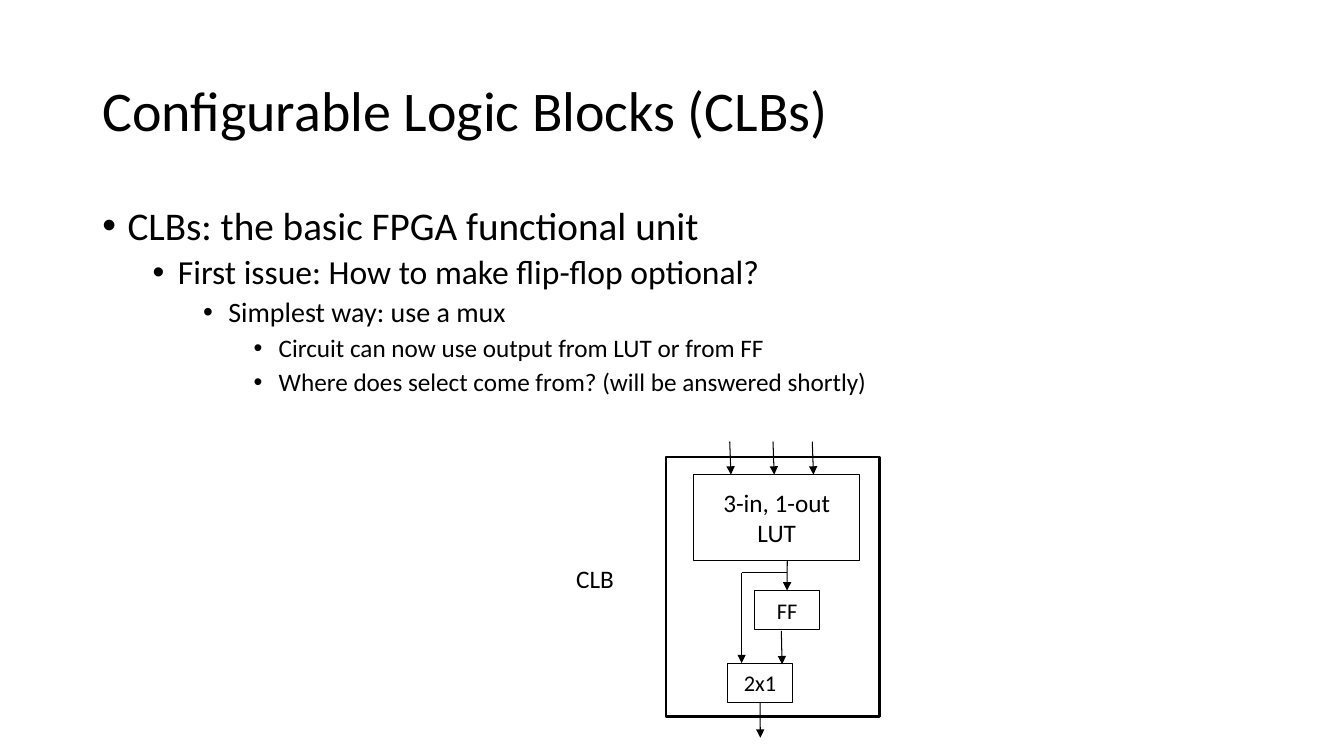
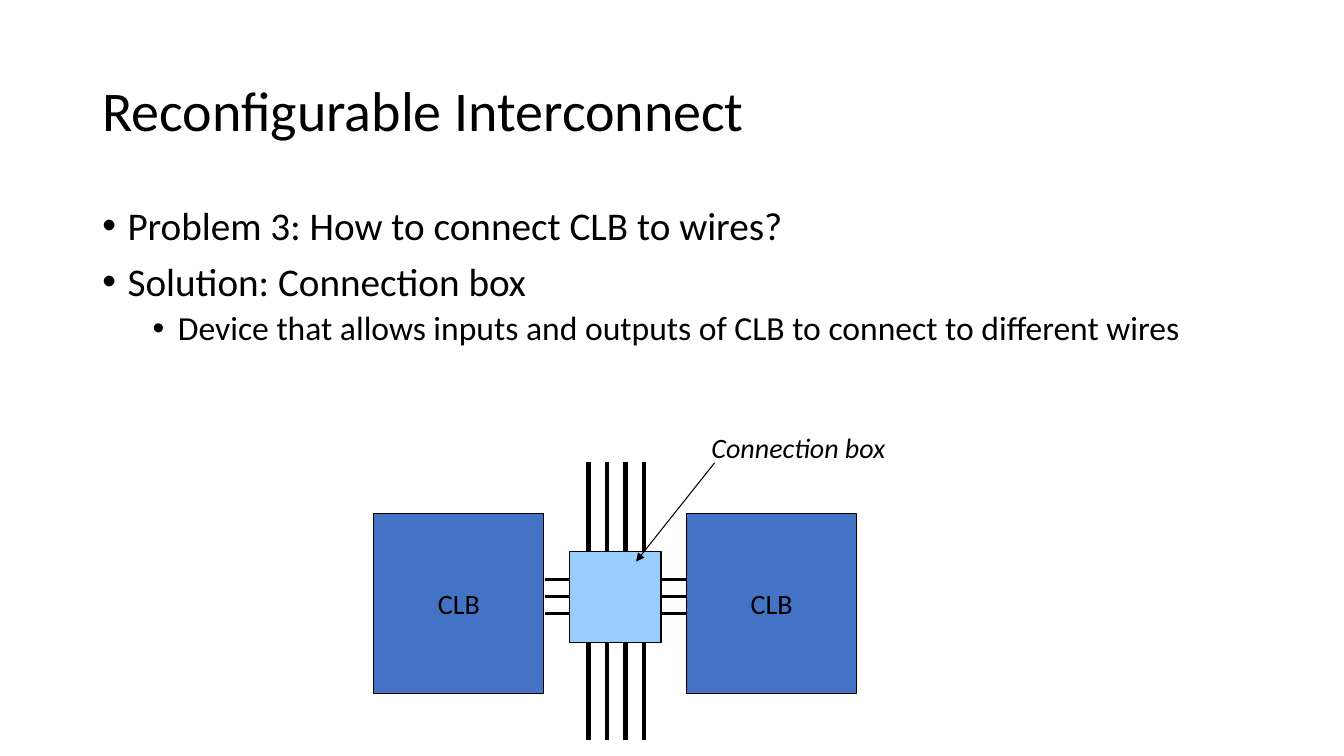
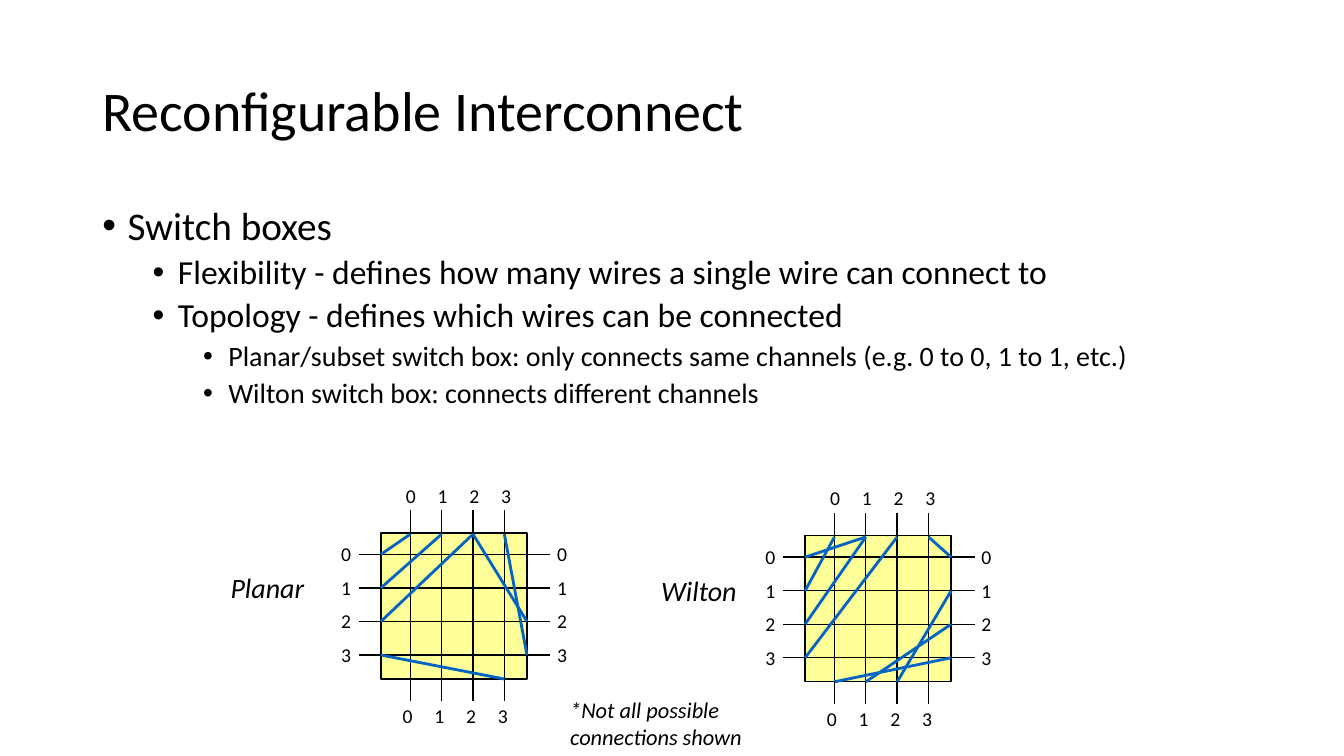
from lxml.etree import SubElement
from pptx import Presentation
from pptx.dml.color import RGBColor
from pptx.enum.shapes import MSO_CONNECTOR, MSO_SHAPE
from pptx.enum.text import MSO_ANCHOR, PP_ALIGN
from pptx.oxml.ns import qn
from pptx.util import Cm, Pt

FONT = "Calibri"
BLACK = "000000"
WHITE = "FFFFFF"
BLOCK_BLUE = "4472C4"
BOX_BLUE = "99CCFF"
SWITCH_YELLOW = "FFFF99"
LINK_BLUE = "0563C1"

LEVEL_SIZES = [28, 24, 20, 18]
CHANNELS = range(4)
SWITCH_SIZE = 3.68


def color(hex_value):
    return RGBColor.from_string(hex_value)


def format_runs(paragraph, size, italic=False):
    for run in paragraph.runs:
        run.font.name = FONT
        run.font.size = Pt(size)
        run.font.italic = italic
        run.font.color.rgb = color(BLACK)


def add_text(slide, text, left, top, width, height, size, italic=False):
    shape = slide.shapes.add_textbox(Cm(left), Cm(top), Cm(width), Cm(height))
    shape.text_frame.word_wrap = True
    shape.text_frame.text = text
    format_runs(shape.text_frame.paragraphs[0], size, italic)
    return shape


def add_box(slide, left, top, width, height, fill=None, text="", size=18, line_width=0.75):
    shape = slide.shapes.add_shape(
        MSO_SHAPE.RECTANGLE, Cm(left), Cm(top), Cm(width), Cm(height))
    shape.shadow.inherit = False
    if fill:
        shape.fill.solid()
        shape.fill.fore_color.rgb = color(fill)
    else:
        shape.fill.background()
    shape.line.color.rgb = color(BLACK)
    shape.line.width = Pt(line_width)
    if text:
        text_frame = shape.text_frame
        text_frame.word_wrap = False
        text_frame.vertical_anchor = MSO_ANCHOR.MIDDLE
        text_frame.text = text
        for paragraph in text_frame.paragraphs:
            paragraph.alignment = PP_ALIGN.CENTER
            format_runs(paragraph, size)
    return shape


def add_line(slide, start, end, width=0.75, line_color=BLACK, arrow=False):
    connector = slide.shapes.add_connector(
        MSO_CONNECTOR.STRAIGHT, Cm(start[0]), Cm(start[1]), Cm(end[0]), Cm(end[1]))
    connector.line.color.rgb = color(line_color)
    connector.line.width = Pt(width)
    if arrow:
        SubElement(connector.line._get_or_add_ln(), qn("a:tailEnd"), type="triangle")
    SubElement(connector._element.spPr, qn("a:effectLst"))
    return connector


def add_bullet(paragraph, level):
    properties = paragraph._p.get_or_add_pPr()
    properties.set("marL", str(Cm(0.635 + 1.27 * level)))
    properties.set("indent", str(Cm(-0.635)))
    SubElement(properties, qn("a:buFont"), typeface="Arial")
    SubElement(properties, qn("a:buChar"), char="•")


def add_content_slide(presentation, title, bullets):
    slide = presentation.slides.add_slide(presentation.slide_layouts[6])
    title_box = add_text(slide, title, 2.33, 1.01, 29.21, 3.68, 40)
    title_box.text_frame.vertical_anchor = MSO_ANCHOR.MIDDLE
    title_box.text_frame.paragraphs[0].line_spacing = 0.9

    body = add_text(slide, "\n".join(text for _, text in bullets),
                    2.33, 5.07, 29.21, 12.09, LEVEL_SIZES[0])
    for index, paragraph in enumerate(body.text_frame.paragraphs):
        level = bullets[index][0]
        add_bullet(paragraph, level)
        paragraph.level = level
        paragraph.line_spacing = 0.9
        if index:
            paragraph.space_before = Pt(5 if level else 10)
        format_runs(paragraph, LEVEL_SIZES[level])
    return slide


def add_logic_block_slide(presentation):
    slide = add_content_slide(presentation, "Configurable Logic Blocks (CLBs)", [
        (0, "CLBs: the basic FPGA functional unit"),
        (1, "First issue: How to make flip-flop optional?"),
        (2, "Simplest way: use a mux"),
        (3, "Circuit can now use output from LUT or from FF"),
        (3, "Where does select come from? (will be answered shortly)"),
    ])
    add_box(slide, 17.48, 11.96, 4.19, 2.16, text="3-in, 1-out\nLUT")
    for input_x in (18.39, 19.48, 20.47):
        add_line(slide, (input_x, 11.13), (input_x + 0.03, 11.96), arrow=True)

    flip_flop = add_box(slide, 19.02, 14.88, 1.63, 0.99, WHITE, "FF", 16)
    mux = add_box(slide, 18.34, 16.71, 1.63, 0.99, WHITE, "2x1", 16)
    lut_output = add_line(slide, (19.84, 14.12), (19.84, 14.88), arrow=True)
    lut_output.end_connect(flip_flop, 0)
    add_line(slide, (18.69, 14.43), (19.84, 14.43))
    add_line(slide, (18.69, 14.43), (18.69, 16.71), arrow=True)
    add_line(slide, (19.69, 15.9), (19.71, 16.74), arrow=True)
    mux_output = add_line(slide, (19.16, 17.7), (19.16, 18.59), arrow=True)
    mux_output.begin_connect(mux, 2)

    add_box(slide, 16.79, 11.51, 5.38, 6.55, line_width=1.75)
    add_text(slide, "CLB", 14.27, 14.07, 2.92, 1.02, 18)


def add_connection_box_slide(presentation):
    slide = add_content_slide(presentation, "Reconfigurable Interconnect", [
        (0, "Problem 3: How to connect CLB to wires?"),
        (0, "Solution: Connection box"),
        (1, "Device that allows inputs and outputs of CLB to connect to different wires"),
    ])
    for channel in CHANNELS:
        wire_x = 14.83 + 0.465 * channel
        add_line(slide, (wire_x, 11.63), (wire_x, 18.64), 3.25)
    for block_left, pin_left in ((9.42, 13.74), (17.43 - 0.13, 16.69)):
        add_box(slide, block_left, 12.95, 4.29, 4.52, BLOCK_BLUE, "CLB", 20)
        for pin in range(3):
            pin_y = 14.61 + 0.42 * pin
            add_line(slide, (pin_left, pin_y), (pin_left + 0.61, pin_y), 2)
    add_box(slide, 14.35, 13.89, 2.31, 2.31, BOX_BLUE)
    add_text(slide, "Connection box", 17.68, 10.72, 8.84, 1.09, 20, italic=True)
    add_line(slide, (18.01, 11.66), (16.03, 14.15), arrow=True)


def add_switch_box(slide, left, top, name, name_left, links):
    add_box(slide, left, top, SWITCH_SIZE, SWITCH_SIZE, SWITCH_YELLOW, line_width=1)
    columns = [left + 0.74 + 0.79 * channel for channel in CHANNELS]
    rows = [top + 0.54 + 0.845 * channel for channel in CHANNELS]

    for x, y in zip(columns, rows):
        add_line(slide, (x, top - 0.58), (x, top + 4.24), 1)
        add_line(slide, (left + 4.27, y), (left - 0.56, y), 1)

    for channel in CHANNELS:
        label_x = left + 0.8 * channel
        label_y = rows[channel] - 0.43
        for x, y in ((label_x + 0.38, top - 1.37), (label_x + 0.3, top + 4.19),
                     (left - 1.25, label_y), (left + 4.19, label_y)):
            add_text(slide, str(channel), x, y, 0.97, 0.84, 14)

    def terminal(side, channel):
        if side in "TB":
            return columns[channel], top + (SWITCH_SIZE if side == "B" else 0.03)
        return left + (SWITCH_SIZE if side == "R" else 0), rows[channel]

    for link in links.split():
        start, end = (terminal(point[0], int(point[1])) for point in link.split("-"))
        add_line(slide, start, end, 2, LINK_BLUE)
    add_text(slide, name, name_left, top + 0.82, 2.64, 1.09, 20, italic=True)


def add_switch_box_slide(presentation):
    slide = add_content_slide(presentation, "Reconfigurable Interconnect", [
        (0, "Switch boxes"),
        (1, "Flexibility - defines how many wires a single wire can connect to"),
        (1, "Topology - defines which wires can be connected"),
        (2, "Planar/subset switch box: only connects same channels (e.g. 0 to 0, 1 to 1, etc.)"),
        (2, "Wilton switch box: connects different channels"),
    ])
    add_switch_box(slide, 9.6, 13.43, "Planar", 5.56,
                   "L0-T0 L1-T1 L2-T2 T2-R2 T3-R3 L3-B3")
    add_switch_box(slide, 20.29, 13.5, "Wilton", 16.41,
                   "L0-T1 L1-T0 L2-T1 L3-T2 T3-R0 B2-R1 B1-R2 B0-R3")
    add_text(slide, "*Not all possible connections shown",
             14.12, 17.42, 7.04, 1.63, 16, italic=True)


def main():
    presentation = Presentation()
    presentation.slide_width = Cm(33.87)
    presentation.slide_height = Cm(19.05)
    add_logic_block_slide(presentation)
    add_connection_box_slide(presentation)
    add_switch_box_slide(presentation)
    presentation.save("out.pptx")


if __name__ == "__main__":
    main()
